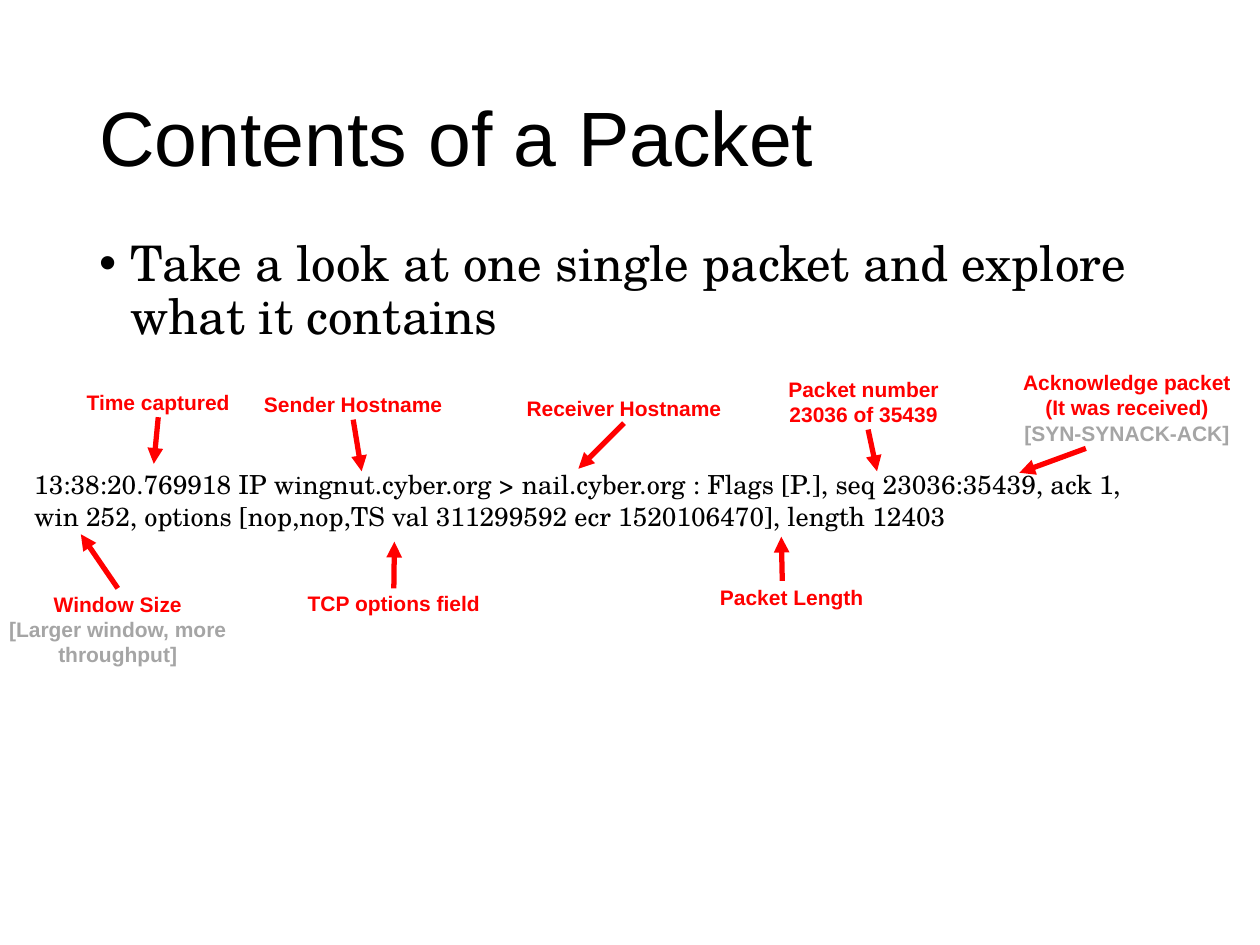
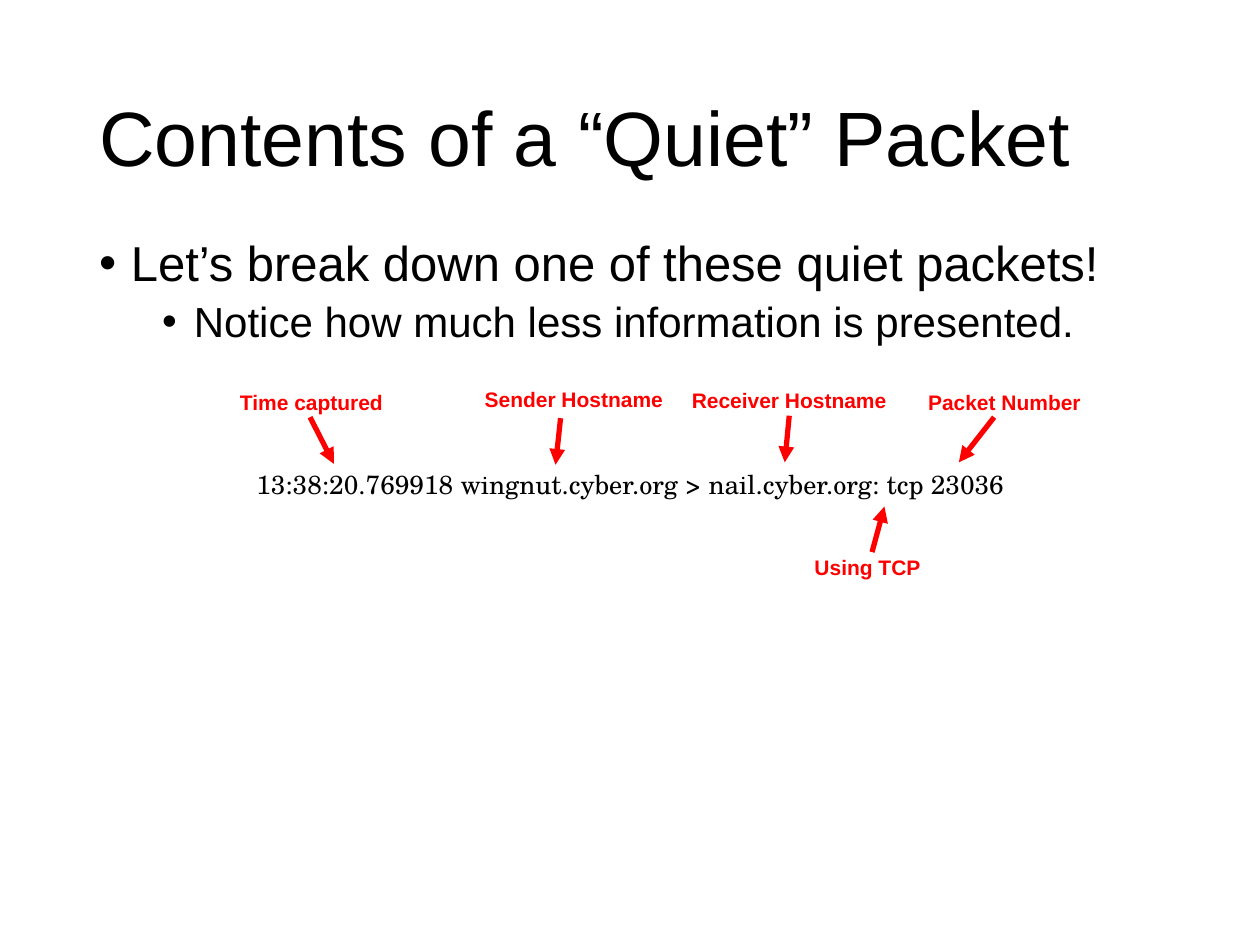
from dataclasses import dataclass
from typing import Optional

from lxml import etree
from pptx import Presentation
from pptx.dml.color import RGBColor
from pptx.enum.shapes import MSO_CONNECTOR
from pptx.enum.text import MSO_ANCHOR, MSO_AUTO_SIZE, PP_ALIGN
from pptx.oxml.ns import qn
from pptx.util import Cm, Pt

STRAIGHT = MSO_CONNECTOR.STRAIGHT
TOP, MIDDLE = MSO_ANCHOR.TOP, MSO_ANCHOR.MIDDLE
LEFT, CENTER = PP_ALIGN.LEFT, PP_ALIGN.CENTER
GROW = MSO_AUTO_SIZE.SHAPE_TO_FIT_TEXT

SANS, SERIF = "Arial", "TeX Gyre Schola"
BLACK, RED, GREY = "000000", "FF0000", "A5A5A5"
TOP_SIDE, BOTTOM_SIDE = 0, 2
WIDE_INSETS, THIN_INSETS = (0.25, 0.13), (0.05, 0.05)

# Shared areas in centimetres: left, top, width, height
TITLE_AREA = (1.75, 1.02, 21.9, 3.68)
BODY_AREA = (1.75, 4.7, 23.01, 2.62)
PACKET_AREA = (0.64, 9.4, 24.13, 2.62)


@dataclass(frozen=True)
class Callout:
    """A label with an arrow; without a start the arrow joins its side."""
    paragraphs: tuple[str, ...]
    left: float
    top: float
    tip: tuple[float, float]
    start: Optional[tuple[float, float]] = None
    rows: int = 1
    width: float = 4.34

    @property
    def height(self) -> float:
        return 0.09 + 0.52 * self.rows


@dataclass(frozen=True)
class PacketPage:
    title: str
    bullets: tuple[str, ...]
    bullet_font: str
    packet: str
    packet_align: PP_ALIGN
    callouts: tuple[Callout, ...]


PAGES = (
    PacketPage(
        "Contents of a Packet",
        ("Take a look at one single packet and explore what it contains",),
        SERIF,
        "13:38:20.769918 IP wingnut.cyber.org > nail.cyber.org : "
        "Flags [P.], seq 23036:35439, ack 1,\n"
        "win 252, options [nop,nop,TS val 311299592 ecr 1520106470], length 12403",
        LEFT,
        (
            Callout(("Time captured",), 1.02, 7.8, (3.1, 9.35)),
            Callout(("Sender Hostname",), 4.95, 7.85, (7.29, 9.5)),
            Callout(("Receiver Hostname",), 10.41, 7.92, (11.66, 9.45)),
            Callout(("Packet Length",), 13.79, 11.73, (15.75, 10.82), (15.77, 11.71)),
            Callout(("Acknowledge packet", "(It was received)\n[SYN-SYNACK-ACK]"),
                    20.55, 7.39, (20.55, 9.53), (21.89, 9.04), rows=3),
            Callout(("Packet number", "23036 of 35439"),
                    15.24, 7.54, (17.68, 9.5), (17.5, 8.66), rows=2),
            Callout(("Window Size", "[Larger window, more throughput]"),
                    0, 11.86, (1.63, 10.77), rows=3, width=4.75),
            Callout(("TCP options field",), 5.77, 11.86, (7.95, 10.92)),
        ),
    ),
    PacketPage(
        "Contents of a “Quiet” Packet",
        ("Let’s break down one of these quiet packets!",
         "Notice how much less information is presented."),
        SANS,
        "13:38:20.769918 wingnut.cyber.org > nail.cyber.org: tcp 23036",
        CENTER,
        (
            Callout(("Time captured",), 4.11, 7.8, (6.73, 9.35), (6.25, 8.41)),
            Callout(("Sender Hostname",), 9.4, 7.75, (11.2, 9.37), (11.3, 8.43)),
            Callout(("Receiver Hostname",), 13.74, 7.77, (15.82, 9.32)),
            Callout(("Using TCP",), 15.32, 11.13, (17.83, 10.21), (17.58, 11.13)),
            Callout(("Packet Number",), 18.08, 7.8, (19.33, 9.32), (20.04, 8.41)),
        ),
    ),
)


def rgb(color: str) -> RGBColor:
    return RGBColor.from_string(color)


def add_text(page, area: tuple, paragraphs: tuple[str, ...], size: float, font: str,
             color: str = BLACK, bold: bool = False, align: PP_ALIGN = LEFT,
             anchor: MSO_ANCHOR = TOP, insets: tuple = THIN_INSETS):
    """Add a text box; spans in square brackets after a red label are grey."""
    box = page.shapes.add_textbox(*(Cm(length) for length in area))
    frame = box.text_frame
    frame.word_wrap = True
    frame.vertical_anchor = anchor
    frame.margin_left = frame.margin_right = Cm(insets[0])
    frame.margin_top = frame.margin_bottom = Cm(insets[1])
    for index, text in enumerate(paragraphs):
        para = frame.paragraphs[0] if index == 0 else frame.add_paragraph()
        para.text = text
        para.alignment = align
        for span in para.runs:
            is_note = color == RED and span.text.startswith("[")
            span.font.size = Pt(size)
            span.font.name = font
            span.font.bold = bold
            span.font.color.rgb = rgb(GREY if is_note else color)
        # Line breaks take the size of the text around them
        for line_break in para._p.findall(qn("a:br")):
            etree.SubElement(line_break, qn("a:rPr"), sz=str(int(size * 100)))
    return box


def add_bullet(para, level: int) -> None:
    para.level = level
    properties = para._p.get_or_add_pPr()
    properties.set("marL", str(Cm(0.64 + 1.27 * level)))
    properties.set("indent", str(-Cm(0.64)))
    bullet_color = etree.SubElement(properties, qn("a:buClr"))
    etree.SubElement(bullet_color, qn("a:srgbClr"), val=BLACK)
    etree.SubElement(properties, qn("a:buFont"), typeface=SANS)
    etree.SubElement(properties, qn("a:buChar"), char="•")
    para.line_spacing = 0.9
    if level:
        para.space_before = Pt(5)
        for span in para.runs:
            span.font.size = Pt(24)


def add_callout(page, callout: Callout) -> None:
    area = (callout.left, callout.top, callout.width, callout.height)
    box = add_text(page, area, callout.paragraphs, 12, SANS, RED,
                   bold=True, align=CENTER, anchor=MIDDLE)
    box.text_frame.auto_size = GROW
    start = callout.start or (callout.left, callout.top)
    arrow = page.shapes.add_connector(
        STRAIGHT, *(Cm(length) for length in start + callout.tip))
    if callout.start is None:
        points_down = callout.tip[1] > callout.top
        arrow.begin_connect(box, BOTTOM_SIDE if points_down else TOP_SIDE)
    arrow.line.color.rgb = rgb(RED)
    arrow.line.width = Pt(3)
    etree.SubElement(arrow.line._get_or_add_ln(), qn("a:tailEnd"), type="triangle")
    etree.SubElement(arrow._element.spPr, qn("a:effectLst"))


def add_packet_page(deck, content: PacketPage) -> None:
    page = deck.slides.add_slide(deck.slide_layouts[6])
    # Title and bullets
    title = add_text(page, TITLE_AREA, (content.title,), 44, SANS,
                     anchor=MIDDLE, insets=WIDE_INSETS)
    title.text_frame.paragraphs[0].line_spacing = 0.9
    body = add_text(page, BODY_AREA, content.bullets, 28, content.bullet_font,
                    insets=WIDE_INSETS)
    for level, para in enumerate(body.text_frame.paragraphs):
        add_bullet(para, level)
    # Packet dump and its labels
    add_text(page, PACKET_AREA, (content.packet,), 15, SERIF,
             align=content.packet_align)
    for callout in content.callouts:
        add_callout(page, callout)


def main() -> None:
    deck = Presentation()
    deck.slide_width, deck.slide_height = Cm(25.4), Cm(19.05)
    for content in PAGES:
        add_packet_page(deck, content)
    deck.save("out.pptx")


if __name__ == "__main__":
    main()
